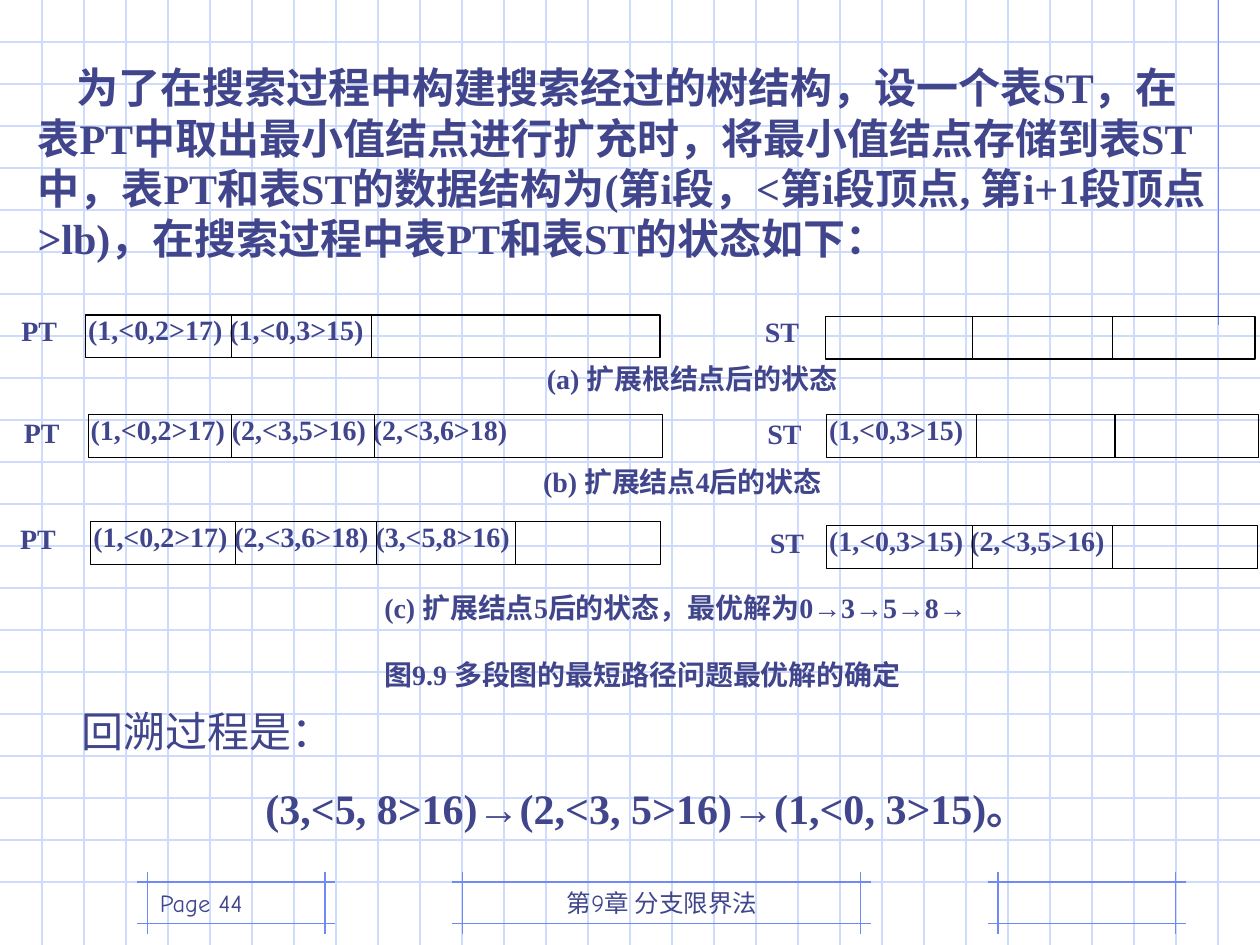
from lxml import etree
from pptx import Presentation, util as u
from pptx.dml.color import RGBColor
from pptx.enum import shapes, text
from pptx.oxml.ns import qn

COLORS = {"grid": "CFDBFD", "frame": "6F89F7", "ink": "40458C", "cell": "000000"}
SERIF, CJK, COMIC = "Times New Roman", "Noto Sans CJK SC", "Comic Neue"
LEFT, CENTER = text.PP_ALIGN.LEFT, text.PP_ALIGN.CENTER
BODY = ("为了在搜索过程中构建搜索经过的树结构，设一个表|ST|，在表|PT|中取出最小值结点进行扩充时，"
        "将最小值结点存储到表|ST|中，表|PT|和表|ST|的数据结构为|(|第|i|段，|<|第|i|段顶点|, |第|i+1|"
        "段顶点|>lb)|，在搜索过程中表|PT|和表|ST|的状态如下：")
PADDING = (0.1, 0.05, 0.1, 0.05)
TABLES = [
    ("PT", (0.17, 2.49), (0.68, 2.5, 4.56, 0.34), "(1,<0,2>17) (1,<0,3>15)", (1.84, 2.95)),
    ("ST", (6.07, 2.5), (6.55, 2.51, 3.41, 0.34), "", (7.72, 8.83)),
    ("PT", (0.19, 3.3), (0.7, 3.29, 4.56, 0.34), "(1,<0,2>17) (2,<3,5>16) (2,<3,6>18)", (1.84, 2.97)),
    ("ST", (6.09, 3.31), (6.56, 3.29, 3.43, 0.34), "(1,<0,3>15)", (7.75, 8.85)),
    ("PT", (0.16, 4.14), (0.72, 4.14, 4.52, 0.34), "(1,<0,2>17) (2,<3,6>18) (3,<5,8>16)", (1.87, 2.99, 4.09)),
    ("ST", (6.11, 4.17), (6.56, 4.17, 3.42, 0.34), "(1,<0,3>15) (2,<3,5>16)", (7.72, 8.83)),
]


def rgb(name):
    """Return a named palette colour."""
    return RGBColor.from_string(COLORS[name])


def add_line(slide, x1, y1, x2, y2, color):
    """Draw a thin straight line without a shadow."""
    sp = slide.shapes.add_connector(shapes.MSO_CONNECTOR.STRAIGHT, *map(u.Inches, (x1, y1, x2, y2)))
    sp.line.color.rgb = rgb(color)
    sp.line.width = u.Pt(0.75)
    etree.SubElement(sp._element.spPr, qn("a:effectLst"))


def add_run(p, content, size, bold=True, font=SERIF):
    """Append one run with Latin and East Asian fonts."""
    r = p.add_run()
    r.text = content
    r.font.size, r.font.bold, r.font.name = u.Pt(size), bold, font
    r.font.color.rgb = rgb("ink")
    etree.SubElement(r._r.get_or_add_rPr(), qn("a:ea"), typeface=CJK)


def set_frame(tf, insets, anchor=text.MSO_ANCHOR.TOP):
    """Set wrapping, insets and anchor, and return the first paragraph."""
    tf.word_wrap = True
    tf.margin_left, tf.margin_top, tf.margin_right, tf.margin_bottom = map(u.Inches, insets)
    tf.vertical_anchor = anchor
    p = tf.paragraphs[0]
    p.alignment = LEFT
    return p


def add_box(slide, box, insets=(0, 0, 0, 0), anchor=text.MSO_ANCHOR.TOP):
    """Add a text box and return its frame and first paragraph."""
    tf = slide.shapes.add_textbox(*map(u.Inches, box)).text_frame
    return tf, set_frame(tf, insets, anchor)


def add_label(slide, box, content):
    """Add a bold one-line label and return its frame."""
    tf, p = add_box(slide, box)
    add_run(p, content, 16)
    return tf


def add_grid(slide, width, height):
    """Rule the page in thirds of an inch."""
    for i in range(1, round(height * 3)):
        add_line(slide, 0, i / 3, width, i / 3, "grid")
    for i in range(1, round(width * 3)):
        add_line(slide, i / 3, 0, i / 3, height, "grid")


def add_footer_frame(slide, left, top, width, height):
    """Draw four lines that cross at the corners of the box."""
    right, bottom, over = left + width, top + height, 0.08
    for y in (top, bottom):
        add_line(slide, left - over, y, right + over, y, "frame")
    for x in (left, right):
        add_line(slide, x, top - over, x, bottom + over, "frame")


def add_footer_text(slide, box, content, align):
    """Place footer wording at the bottom of its box."""
    p = add_box(slide, box, PADDING, text.MSO_ANCHOR.BOTTOM)[1]
    p.alignment = align
    add_run(p, content, 14, False, COMIC)


def add_body(slide, box):
    """Write the introduction in alternating fonts."""
    tf, p = add_box(slide, box, PADDING)
    tf.auto_size = text.MSO_AUTO_SIZE.SHAPE_TO_FIT_TEXT
    p._p.get_or_add_pPr().set("indent", str(u.Inches(0.31)))
    for i, part in enumerate(BODY.split("|")):
        add_run(p, part, 24, font=SERIF if i % 2 else CJK)


def add_state_table(slide, name, label_at, box, content, dividers):
    """Draw one labelled row of cells with its entries."""
    add_label(slide, (*label_at, 0.34, 0.36), name)
    sp = slide.shapes.add_shape(shapes.MSO_SHAPE.RECTANGLE, *map(u.Inches, box))
    sp.shadow.inherit = False
    sp.fill.background()
    sp.line.color.rgb = rgb("cell")
    sp.line.width = u.Pt(0.75)
    if content:
        p = set_frame(sp.text_frame, (0.02, 0, 0, 0))
        p.line_spacing = 0.96
        add_run(p, content, 16)
    for x in dividers:
        add_line(slide, x, box[1], x, box[1] + box[3], "cell")


def add_captions(slide):
    """Write the state captions and the figure title."""
    add_label(slide, (4.34, 2.87, 2.99, 0.36), "(a) 扩展根结点后的状态")
    add_label(slide, (4.31, 3.69, 3.21, 0.36), "(b) 扩展结点4后的状态")
    tf = add_label(slide, (3.05, 4.69, 5.82, 0.85), "(c) 扩展结点5后的状态，最优解为0→3→5→8→")
    p = tf.add_paragraph()
    p.space_before = u.Pt(19)
    add_run(p, "图9.9 多段图的最短路径问题最优解的确定", 16)


def add_backtrack(slide, box):
    """Write the backtracking result."""
    tf, p = add_box(slide, box, PADDING)
    tf.auto_size = text.MSO_AUTO_SIZE.SHAPE_TO_FIT_TEXT
    add_run(p, "回溯过程是：", 24, False)
    p = tf.add_paragraph()
    p.alignment = CENTER
    p.space_before = u.Pt(15)
    add_run(p, "(3,<5, 8>16)→(2,<3, 5>16)→(1,<0, 3>15)。", 24)


def main():
    """Build and save the slide."""
    prs = Presentation()
    prs.slide_width, prs.slide_height = u.Inches(10), u.Inches(7.5)
    slide = prs.slides.add_slide(prs.slide_layouts[6])
    add_grid(slide, 10, 7.5)
    for left, width in ((3.67, 3.16), (7.92, 1.41), (1.17, 1.41)):
        add_footer_frame(slide, left, 7, width, 0.33)
    add_line(slide, 9.67, 0, 9.67, 2.58, "frame")
    add_footer_text(slide, (3.67, 6.83, 3.17, 0.5), "第9章 分支限界法", CENTER)
    add_footer_text(slide, (1.17, 6.83, 2.08, 0.5), "Page 44", LEFT)
    add_body(slide, (0.2, 0.44, 9.5, 1.7))
    for table in TABLES:
        add_state_table(slide, *table)
    add_captions(slide)
    add_backtrack(slide, (0.55, 5.55, 9.17, 1.11))
    prs.save("out.pptx")


if __name__ == "__main__":
    main()
